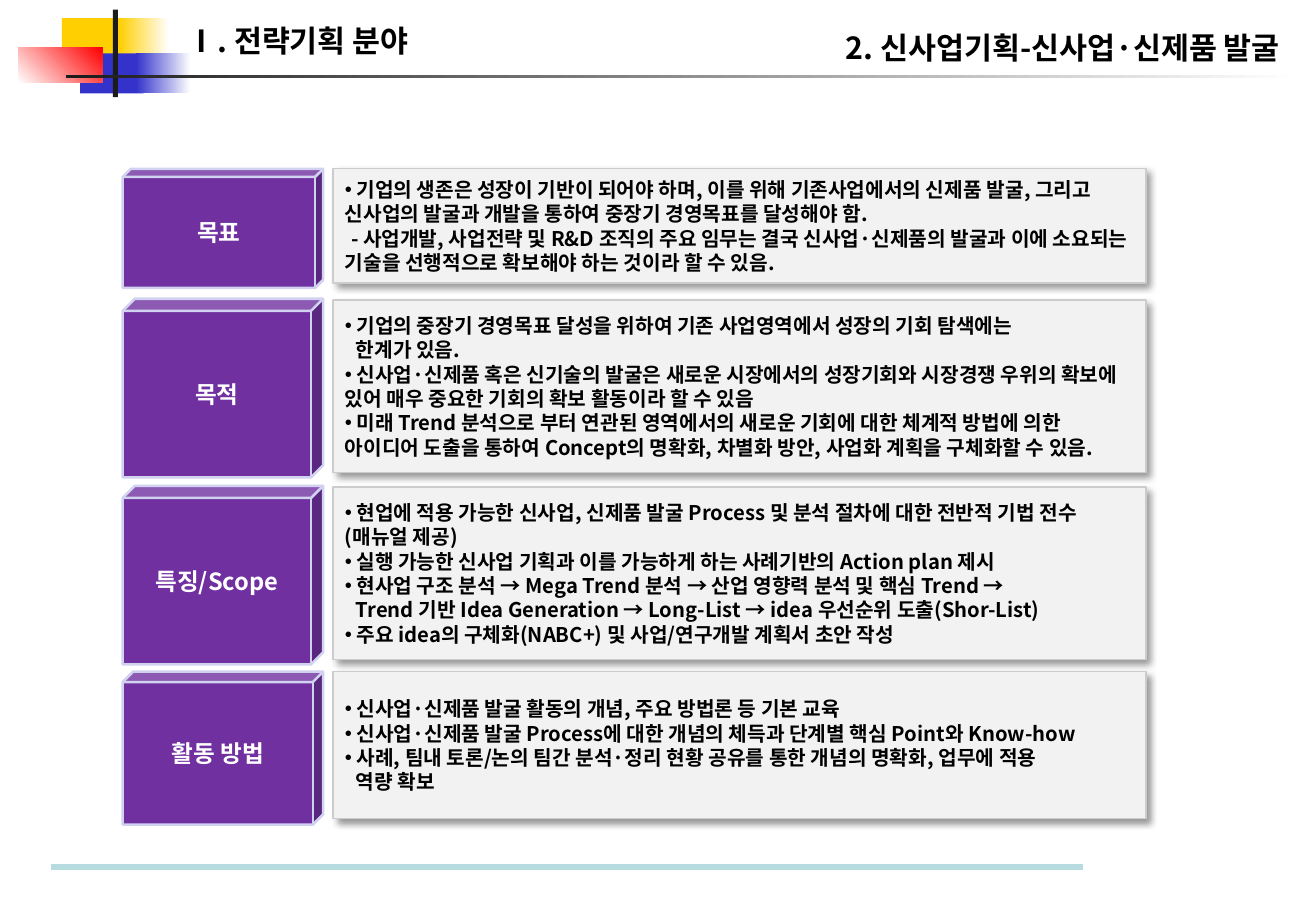
from lxml import etree
from pptx import Presentation
from pptx.dml.color import RGBColor
from pptx.enum.shapes import MSO_CONNECTOR, MSO_SHAPE
from pptx.enum.text import MSO_ANCHOR, PP_ALIGN
from pptx.oxml import parse_xml
from pptx.oxml.ns import nsdecls, qn
from pptx.util import Inches, Pt

FONT = "Noto Sans CJK KR"
COLORS = {
    "black": "000000", "white": "FFFFFF", "yellow": "FFCF01", "blue": "3333CC",
    "red": "FF0000", "charcoal": "1C1C1C", "teal": "B6DCDF", "purple": "7030A0",
    "lavender": "D1D1F0", "panel": "F2F2F2", "border": "CCCCCC",
}
BULLET, DASH, CONTINUATION = "bullet", "dash", "continuation"
INDENTS = {BULLET: (0, 0), DASH: (0, 0.05), CONTINUATION: (0.09, 0)}

DECORATIONS = [
    ((0.51, 0.15, 0.54, 0.33), ("yellow",), 0),
    ((0.98, 0.15, 0.41, 0.33), ("yellow", "white"), 0),
    ((0.66, 0.44, 0.52, 0.33), ("blue",), 0),
    ((1.12, 0.44, 0.45, 0.33), ("blue", "white"), 0),
    ((0.15, 0.39, 0.69, 0.29), ("white", "red"), 45),
    ((0.93, 0.08, 0.04, 0.72), ("charcoal",), 0),
    ((0.54, 0.62, 10.14, 0.02), ("charcoal", "white"), 0),
]

SECTIONS = [
    ("목표", 1.39, 0.98, 1.39, 0.94, [
        (BULLET, " 기업의 생존은 성장이 기반이 되어야 하며, 이를 위해 기존사업에서의 신제품 발굴, 그리고 신사업의 발굴과 개발을 통하여 중장기 경영목표를 달성해야 함."),
        (DASH, "- 사업개발, 사업전략 및 R&D 조직의 주요 임무는 결국 신사업·신제품의 발굴과 이에 소요되는 기술을 선행적으로 확보해야 하는 것이라 할 수 있음."),
    ]),
    ("목적", 2.46, 1.47, 2.47, 1.42, [
        (BULLET, " 기업의 중장기 경영목표 달성을 위하여 기존 사업영역에서 성장의 기회 탐색에는"),
        (CONTINUATION, "한계가 있음."),
        (BULLET, " 신사업·신제품 혹은 신기술의 발굴은 새로운 시장에서의 성장기회와 시장경쟁 우위의 확보에 있어 매우 중요한 기회의 확보 활동이라 할 수 있음"),
        (BULLET, " 미래 Trend 분석으로 부터 연관된 영역에서의 새로운 기회에 대한 체계적 방법에 의한 아이디어 도출을 통하여 Concept의 명확화, 차별화 방안, 사업화 계획을 구체화할 수 있음."),
    ]),
    ("특징/Scope", 4.0, 1.47, 4.01, 1.42, [
        (BULLET, " 현업에 적용 가능한 신사업, 신제품 발굴 Process 및 분석 절차에 대한 전반적 기법 전수(매뉴얼 제공)"),
        (BULLET, " 실행 가능한 신사업 기획과 이를 가능하게 하는 사례기반의 Action plan 제시"),
        (BULLET, " 현사업 구조 분석 → Mega Trend 분석 → 산업 영향력 분석 및 핵심 Trend →"),
        (CONTINUATION, "Trend 기반 Idea Generation → Long-List → idea 우선순위 도출(Shor-List)"),
        (BULLET, " 주요 idea의 구체화(NABC+) 및 사업/연구개발 계획서 초안 작성"),
    ]),
    ("활동 방법", 5.53, 1.26, 5.53, 1.21, [
        (BULLET, " 신사업·신제품 발굴 활동의 개념, 주요 방법론 등 기본 교육"),
        (BULLET, " 신사업·신제품 발굴 Process에 대한 개념의 체득과 단계별 핵심 Point와 Know-how"),
        (BULLET, " 사례, 팀내 토론/논의 팀간 분석·정리 현황 공유를 통한 개념의 명확화, 업무에 적용"),
        (CONTINUATION, "역량 확보"),
    ]),
]


def color(name):
    return RGBColor.from_string(COLORS[name])


def write_paragraph(paragraph, text, size, color_name, alignment):
    paragraph.text = text
    paragraph.alignment = alignment
    for run in paragraph.runs:
        run.font.size = Pt(size)
        run.font.bold = True
        run.font.name = FONT
        run.font.color.rgb = color(color_name)
        east_asian = etree.SubElement(run._r.get_or_add_rPr(), qn("a:ea"))
        east_asian.set("typeface", FONT)


def add_block(slide, kind, box, fills, angle=0, line=None, width=0):
    shape = slide.shapes.add_shape(kind, *map(Inches, box))
    shape.shadow.inherit = False
    if len(fills) == 1:
        shape.fill.solid()
        shape.fill.fore_color.rgb = color(fills[0])
    else:
        shape.fill.gradient()
        shape.fill.gradient_angle = angle
        for stop, position, name in zip(shape.fill.gradient_stops, (0, 1), fills):
            stop.position = position
            stop.color.rgb = color(name)
    if line:
        shape.line.color.rgb = color(line)
        shape.line.width = Pt(width)
    else:
        shape.line.fill.background()
    return shape


def add_heading(slide, text, box, alignment, wrap):
    frame = slide.shapes.add_textbox(*map(Inches, box)).text_frame
    frame.word_wrap = wrap
    write_paragraph(frame.paragraphs[0], text, 18, "black", alignment)


def add_label(slide, text, top, height):
    cube = add_block(slide, MSO_SHAPE.CUBE, (1.01, top, 1.65, height),
                     ("purple",), line="lavender", width=1.5)
    cube.adjustments[0] = 0.068
    cube.text_frame.vertical_anchor = MSO_ANCHOR.MIDDLE
    write_paragraph(cube.text_frame.paragraphs[0], text, 14, "white", PP_ALIGN.CENTER)


def add_soft_shadow(shape):
    effects = shape._element.spPr.find(qn("a:effectLst"))
    effects.append(parse_xml(
        f'<a:outerShdw {nsdecls("a")} blurRad="{Pt(4)}" dist="{Pt(3)}" dir="2700000" '
        f'algn="tl" rotWithShape="0"><a:srgbClr val="{COLORS["black"]}">'
        '<a:alpha val="40000"/></a:srgbClr></a:outerShdw>'))


def add_panel(slide, top, height, items):
    panel = add_block(slide, MSO_SHAPE.RECTANGLE, (2.74, top, 6.69, height),
                      ("panel",), line="border", width=0.75)
    add_soft_shadow(panel)
    frame = panel.text_frame
    frame.word_wrap = True
    frame.vertical_anchor = MSO_ANCHOR.MIDDLE
    for index, (kind, text) in enumerate(items):
        paragraph = frame.add_paragraph() if index else frame.paragraphs[0]
        properties = paragraph._p.get_or_add_pPr()
        margin, indent = INDENTS[kind]
        properties.set("marL", str(Inches(margin)))
        properties.set("indent", str(Inches(indent)))
        if kind == BULLET:
            etree.SubElement(properties, qn("a:buFont")).set("typeface", "Arial")
            etree.SubElement(properties, qn("a:buChar")).set("char", "•")
        else:
            etree.SubElement(properties, qn("a:buNone"))
        write_paragraph(paragraph, text, 12, "black", PP_ALIGN.LEFT)


def add_footer_line(slide):
    line = slide.shapes.add_connector(
        MSO_CONNECTOR.STRAIGHT, *map(Inches, (0.42, 7.14, 8.91, 7.14)))
    line.line.color.rgb = color("teal")
    line.line.width = Pt(3.5)
    etree.SubElement(line._element.spPr, qn("a:effectLst"))


def main():
    presentation = Presentation()
    presentation.slide_width = Inches(10.83)
    presentation.slide_height = Inches(7.5)
    slide = presentation.slides.add_slide(presentation.slide_layouts[6])
    for box, fills, angle in DECORATIONS:
        add_block(slide, MSO_SHAPE.RECTANGLE, box, fills, angle)
    add_footer_line(slide)
    add_heading(slide, "2. 신사업기획-신사업·신제품 발굴", (6.58, 0.19, 4.05, 0.4),
                PP_ALIGN.RIGHT, True)
    for label, label_top, label_height, panel_top, panel_height, items in SECTIONS:
        add_label(slide, label, label_top, label_height)
        add_panel(slide, panel_top, panel_height, items)
    add_heading(slide, "Ⅰ. 전략기획 분야", (1.44, 0.13, 2.3, 0.4), PP_ALIGN.LEFT, False)
    presentation.save("out.pptx")


if __name__ == "__main__":
    main()
